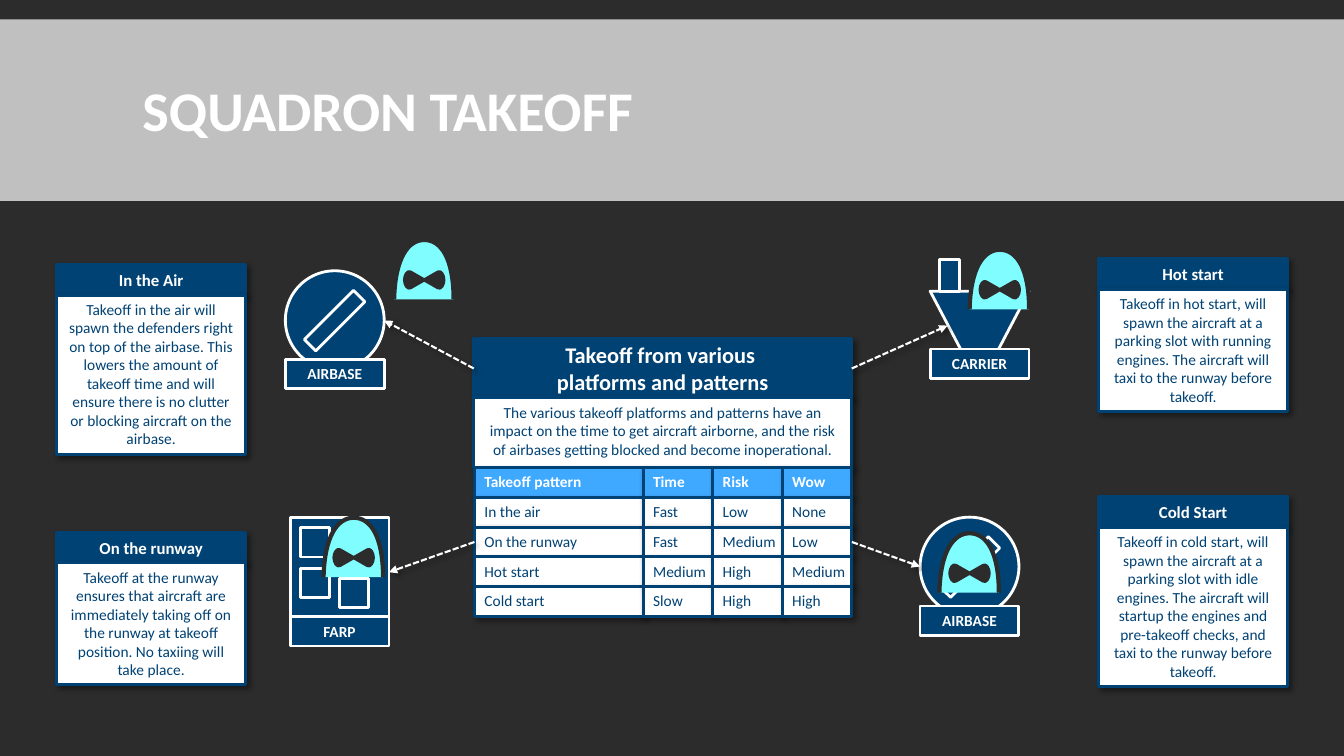
"""Build the squadron takeoff slide."""
from lxml.etree import SubElement
from pptx import Presentation
from pptx.dml.color import RGBColor
from pptx.enum.dml import MSO_LINE
from pptx.enum.shapes import MSO_CONNECTOR, MSO_SHAPE as SHAPE
from pptx.enum.text import MSO_ANCHOR as ANCHOR, PP_ALIGN as ALIGN
from pptx.oxml import parse_xml
from pptx.oxml.ns import nsdecls, qn
from pptx.util import Pt

NAVY, BLUE, CYAN, DARK, WHITE = "004274", "3FA8FF", "80FEFF", "2C2C2C", "FFFFFF"
SHADOW = (f'<a:outerShdw {nsdecls("a")} blurRad="50800" dist="38100" dir="2700000">'
          '<a:srgbClr val="000000"><a:alpha val="40000"/></a:srgbClr></a:outerShdw>')
rgb = RGBColor.from_string


def paint(sp, fill, line=None, weight=2, shadow=False):
    sp.shadow.inherit = False
    sp.fill.solid()
    sp.fill.fore_color.rgb = rgb(fill)
    if line:
        sp.line.color.rgb = rgb(line)
        sp.line.width = Pt(weight)
    else:
        sp.line.fill.background()
    if shadow:
        sp._element.spPr.find(qn("a:effectLst")).append(parse_xml(SHADOW))


def write(tf, text, size, color, bold=False, align=ALIGN.CENTER, anchor=ANCHOR.TOP, wrap=True):
    tf.word_wrap = wrap
    tf.vertical_anchor = anchor
    p = tf.paragraphs[0]
    p.text = text
    p.alignment = align
    style = {"name": "Calibri", "size": Pt(size), "bold": bold}
    for r in p.runs:
        for key, value in style.items():
            setattr(r.font, key, value)
        r.font.color.rgb = rgb(color)


prs = Presentation()
prs.slide_width, prs.slide_height = Pt(960), Pt(540)
s = prs.slides.add_slide(prs.slide_layouts[6])
s.background.fill.solid()
s.background.fill.fore_color.rgb = rgb(DARK)

band = s.shapes.add_shape(SHAPE.RECTANGLE, 0, Pt(13.9), Pt(960), Pt(129.6))
paint(band, WHITE)
clr = band._element.spPr.find(qn("a:solidFill")).find(qn("a:srgbClr"))
SubElement(clr, qn("a:alpha"), val="70000")
title = s.shapes.add_textbox(Pt(94.7), Pt(22.3), Pt(770.4), Pt(118.8))
write(title.text_frame, "SQUADRON TAKEOFF", 40, WHITE, True, ALIGN.LEFT, ANCHOR.MIDDLE)
title.text_frame.paragraphs[0].line_spacing = 0.85

cards = [
    (40.5, 189, 113.8, "In the Air",
     "Takeoff in the air will spawn the defenders right on top of the airbase. This lowers the "
     "amount of takeoff time and will ensure there is no clutter or blocking aircraft on the airbase."),
    (40.5, 380.2, 87.1, "On the runway",
     "Takeoff at the runway ensures that aircraft are immediately taking off on the runway at "
     "takeoff position. No taxiing will take place."),
    (784.8, 184.8, 87.1, "Hot start",
     "Takeoff in hot start, will spawn the aircraft at a parking slot with running engines. "
     "The aircraft will taxi to the runway before takeoff."),
    (784.8, 354.8, 113.8, "Cold Start",
     "Takeoff in cold start, will spawn the aircraft at a parking slot with idle engines. The "
     "aircraft will startup the engines and pre-takeoff checks, and taxi to the runway before takeoff."),
]
for x, y, h, heading, body in cards:
    sp = s.shapes.add_shape(SHAPE.RECTANGLE, Pt(x), Pt(y), Pt(134.9), Pt(21.6))
    paint(sp, NAVY, NAVY, 2.25, True)
    write(sp.text_frame, heading, 12, WHITE, True)
    sp = s.shapes.add_shape(SHAPE.RECTANGLE, Pt(x), Pt(y + 21.8), Pt(134.9), Pt(h))
    paint(sp, WHITE, NAVY, 2.25, True)
    write(sp.text_frame, body, 11, NAVY)

topic = s.shapes.add_shape(SHAPE.RECTANGLE, Pt(338.4), Pt(242), Pt(270), Pt(42.4))
paint(topic, NAVY, NAVY, 2.25, True)
write(topic.text_frame, "Takeoff from various \vplatforms and patterns", 16, WHITE, True,
      anchor=ANCHOR.MIDDLE, wrap=False)
intro = s.shapes.add_shape(SHAPE.RECTANGLE, Pt(338.4), Pt(284.2), Pt(270), Pt(49.8))
paint(intro, WHITE, NAVY, 2.25, True)
write(intro.text_frame, "The various takeoff platforms and patterns have an impact on the time to get "
      "aircraft airborne, and the risk of airbases getting blocked and become inoperational.", 11, NAVY)

columns = [
    (338.9, 120.5, ["Takeoff pattern", "In the air", "On the runway", "Hot start", "Cold start"]),
    (459.4, 49.7, ["Time", "Fast", "Fast", "Medium", "Slow"]),
    (509.1, 49.7, ["Risk", "Low", "Medium", "High", "High"]),
    (558.8, 49.7, ["Wow", "None", "Low", "Medium", "High"]),
]
cells = {}
for j, (x, w, texts) in enumerate(columns):
    for i, text in enumerate(texts):
        sp = s.shapes.add_shape(SHAPE.RECTANGLE, Pt(x), Pt(334 + 21.25 * i), Pt(w), Pt(21.3))
        paint(sp, WHITE if i else BLUE, NAVY, 2.25, True)
        write(sp.text_frame, text, 11, NAVY if i else WHITE, i == 0, ALIGN.LEFT, wrap=False)
        cells[i, j] = sp

farp = s.shapes.add_shape(SHAPE.RECTANGLE, Pt(207.2), Pt(369.8), Pt(70.6), Pt(77.8))
paint(farp, NAVY, WHITE)
for x, y in [(214.6, 377), (214.6, 406.1), (243.4, 384.5), (242.6, 413.3)]:
    pad = s.shapes.add_shape(SHAPE.RECTANGLE, Pt(x), Pt(y), Pt(20.9), Pt(20.9))
    paint(pad, NAVY, WHITE)

hull = s.shapes.add_shape(SHAPE.TRAPEZOID, Pt(664.4), Pt(208), Pt(70.6), Pt(49))
hull.adjustments[0] = 0.525
hull._element.spPr.find(qn("a:xfrm")).set("flipV", "1")
paint(hull, NAVY, WHITE)
tower = s.shapes.add_shape(SHAPE.RECTANGLE, Pt(671), Pt(185.2), Pt(14.4), Pt(23))
paint(tower, NAVY, WHITE)

airbases = [(203.8, 193.4), (657.2, 369.4)]
for x, y in airbases:
    field = s.shapes.add_shape(SHAPE.OVAL, Pt(x), Pt(y), Pt(70.6), Pt(70.6))
    paint(field, NAVY, WHITE)
    runway = s.shapes.add_shape(SHAPE.RECTANGLE, Pt(x + 29.5), Pt(y + 10.8), Pt(11.5), Pt(49.7))
    runway.rotation = 45
    paint(runway, NAVY, WHITE)

labels = [("FARP", 207.2, 440.5), ("CARRIER", 664.4, 249.3)]
labels += [("AIRBASE", x, y + 63.4) for x, y in airbases]
for text, x, y in labels:
    sp = s.shapes.add_shape(SHAPE.RECTANGLE, Pt(x), Pt(y), Pt(70.6), Pt(20.9))
    paint(sp, NAVY, WHITE)
    write(sp.text_frame, text, 11, WHITE, True)

hood = [[(0, 42.5)], [(0.7, 13), (10, 0), (21.6, 0)], [(33.8, 0), (42.5, 13.7), (42.5, 42.5)]]
eyes = [[(5.6, 23.8)], [(7, 25.9), (3.4, 28.1), (0, 28.1)], [(-3.4, 28.1), (-7, 25.9), (-5.6, 23.8)],
        [(0, 14.05)], [(-5.6, 4.3)], [(-7, 2.2), (-3.4, 0), (0, 0)],
        [(3.4, 0), (7, 2.2), (5.6, 4.3)], [(0, 14.05)], [(5.6, 23.8)]]
for x, y in [(281.5, 171.4), (671, 380.9), (692.6, 178.4), (231.1, 369.8)]:
    for outline, dx, dy, fill, weight, turn in [(hood, 0, 0, CYAN, 3, 0),
                                                (eyes, 21.5, 14.5, DARK, 2.25, 90)]:
        ends = [(Pt(x + dx + seg[-1][0]), Pt(y + dy + seg[-1][1])) for seg in outline]
        fb = s.shapes.build_freeform(*ends[0])
        fb.add_line_segments(ends[1:], close=turn > 0)
        sp = fb.convert_to_shape()
        steps = list(sp._element.iter(qn("a:lnTo")))
        for step, seg in zip(steps, outline[1:]):
            if len(seg) == 3:
                step.tag = qn("a:cubicBezTo")
                step.remove(step[0])
                for px, py in seg:
                    SubElement(step, qn("a:pt"), x=str(Pt(x + dx + px) - sp.left),
                               y=str(Pt(y + dy + py) - sp.top))
        sp.rotation = turn
        paint(sp, fill, DARK, weight)

arrows = [
    ((338.4, 263.2), (274.4, 229), (topic, 1), None),
    ((338.9, 387.1), (277.8, 408.7), (cells[2, 0], 1), (farp, 3)),
    ((608.4, 263.2), (676.8, 232.6), (topic, 3), None),
    ((608.5, 387.1), (657.2, 404.7), (cells[2, 3], 3), None),
]
for start, end, source, target in arrows:
    cx = s.shapes.add_connector(MSO_CONNECTOR.STRAIGHT, *map(Pt, start + end))
    cx.begin_connect(*source)
    if target:
        cx.end_connect(*target)
    cx.line.color.rgb = rgb(WHITE)
    cx.line.width = Pt(1.5)
    cx.line.dash_style = MSO_LINE.SQUARE_DOT
    props = cx._element.spPr
    SubElement(props.find(qn("a:ln")), qn("a:tailEnd"), type="triangle")
    SubElement(props, qn("a:effectLst")).append(parse_xml(SHADOW))

prs.save("out.pptx")
